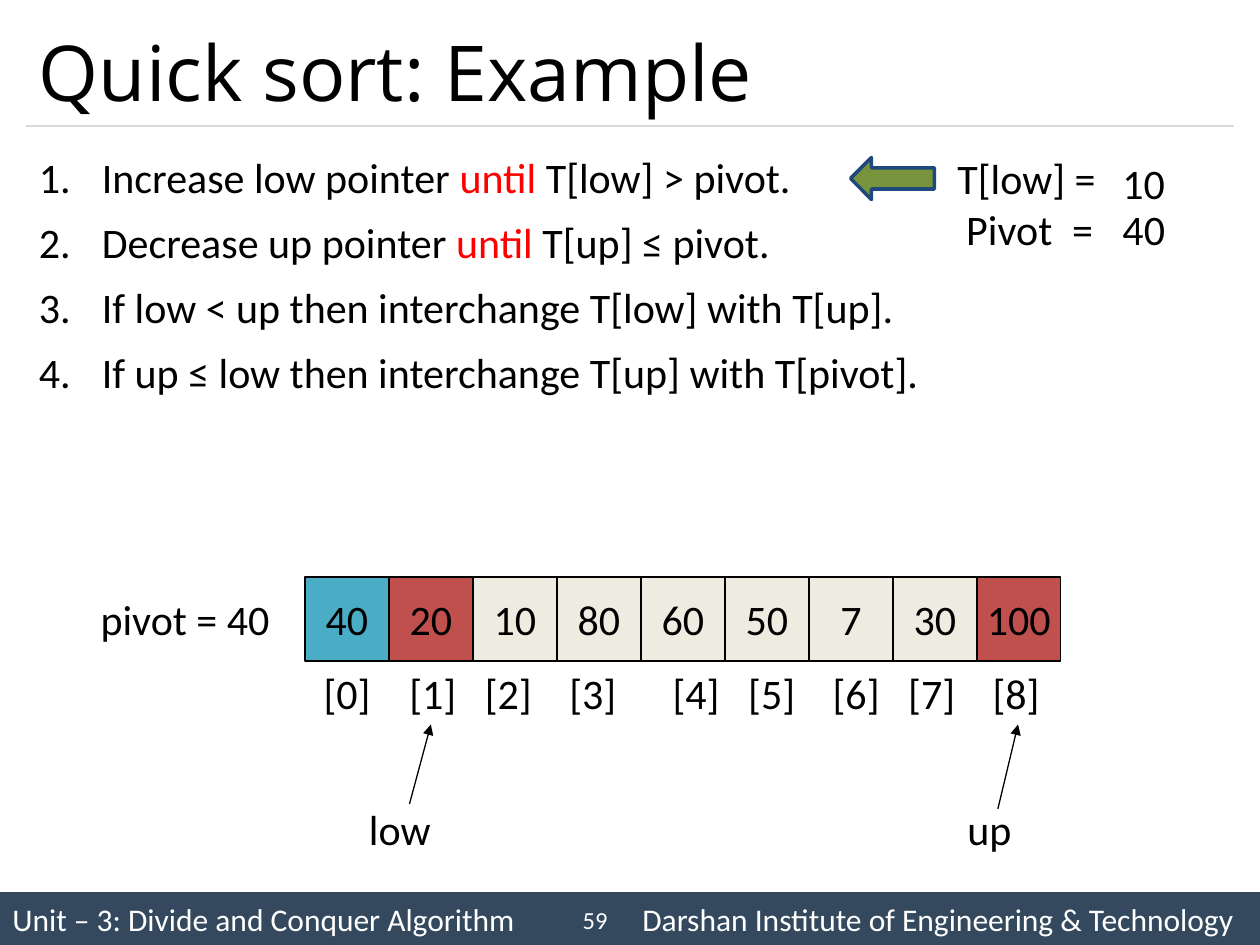
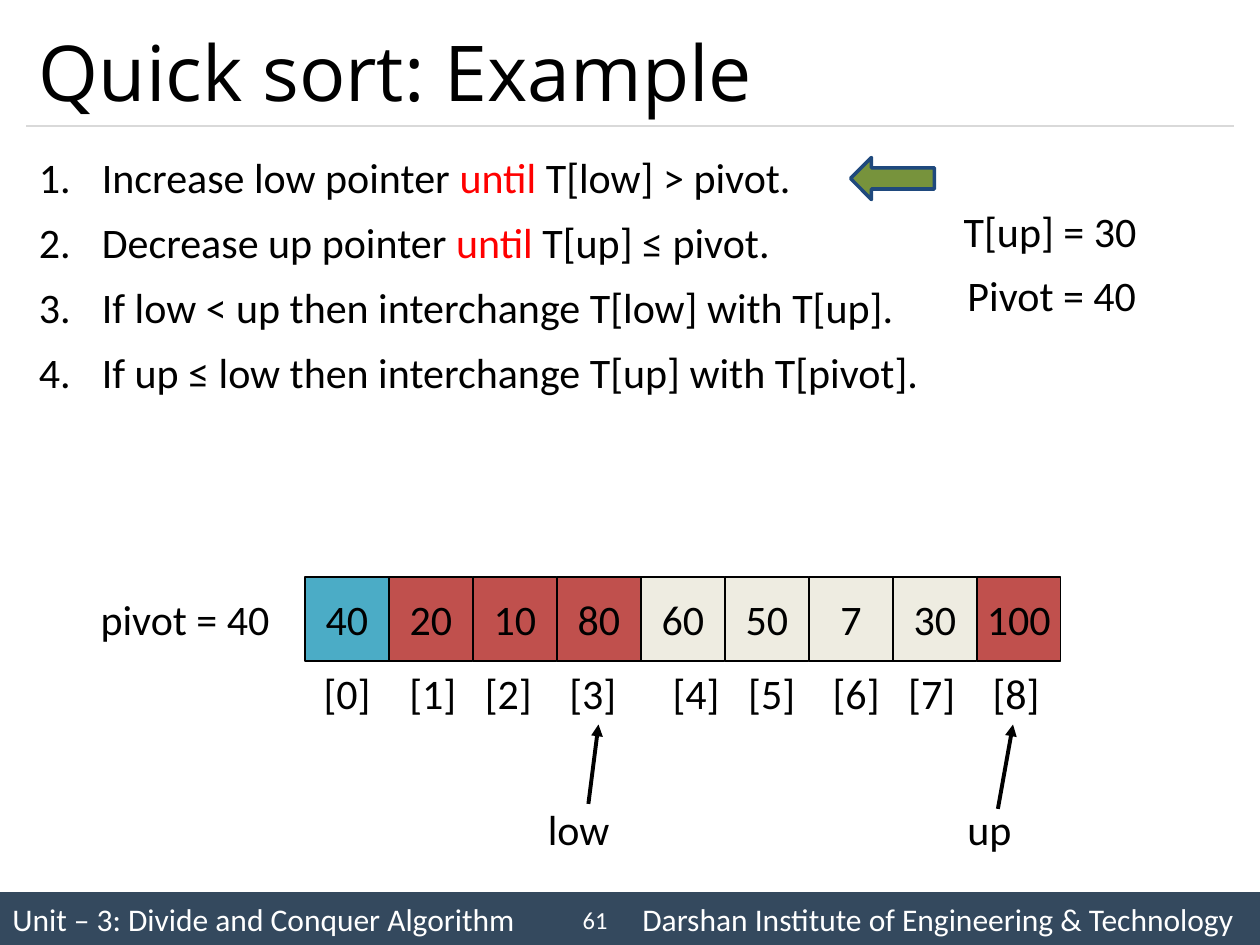
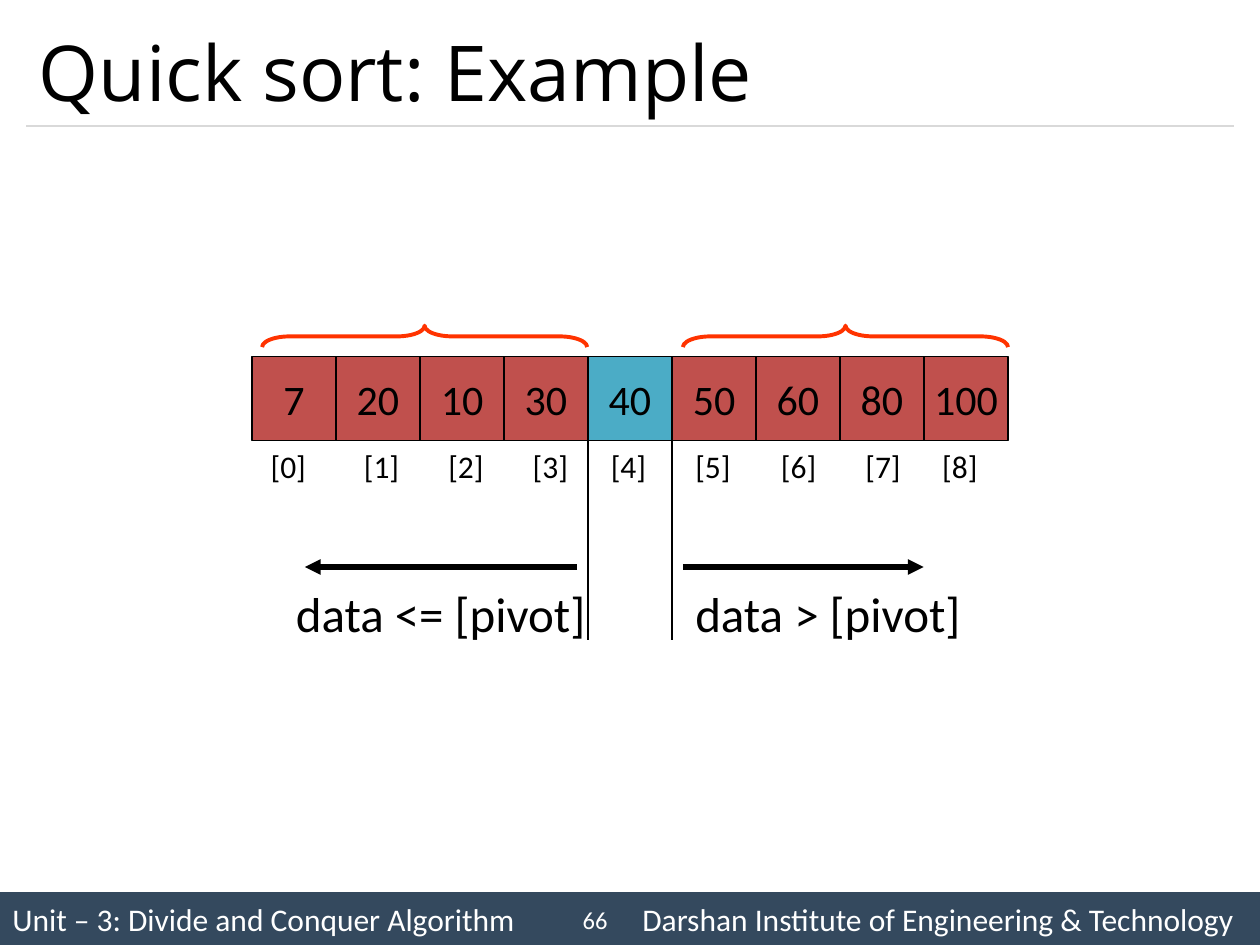
"""Build three quick sort slides: two partition steps and the final split."""
from lxml.etree import SubElement
from pptx import Presentation
from pptx.dml.color import RGBColor
from pptx.enum.shapes import MSO_CONNECTOR, MSO_SHAPE
from pptx.enum.text import MSO_ANCHOR, PP_ALIGN
from pptx.oxml.ns import qn
from pptx.util import Inches, Pt

C = {"black": "000000", "white": "FFFFFF", "band": "34495E", "rule": "D9D9D9",
     "pivot": "4BACC6", "done": "C0504D", "open": "EEECE1", "until": "FF0000",
     "arrow": "77933C", "edge": "1F497D", "brace": "FF3300"}
W, H = 10, 7.5
CELL = 2 / 3
MARGIN = 0.21
INSET = 0.1
BAND_TOP = 7.08

TITLE = "Quick sort: Example"
FOOTER = "Unit – 3: Divide and Conquer Algorithm\tDarshan Institute of Engineering & Technology"
RULES = [
    [("Increase low pointer ", "black"), ("until", "until"), (" T[low] > pivot.", "black")],
    [("Decrease up pointer ", "black"), ("until", "until"), (" T[up] ≤ pivot.", "black")],
    [("If low < up then interchange T[low] with T[up].", "black")],
    [("If up ≤ low then interchange T[up] with T[pivot].", "black")],
]
START = [40, 20, 10, 80, 60, 50, 7, 30, 100]
SORTED = [7, 20, 10, 30, 40, 50, 60, 80, 100]
STEP_INDEX_X = [2.57, 3.25, 3.85, 4.52, 5.34, 5.94, 6.61, 7.21, 7.88]
SPLIT_INDEX_X = [2.15, 2.89, 3.56, 4.23, 4.85, 5.52, 6.2, 6.87, 7.48]
STEPS = [
    {"number": 59, "done": {1, 8}, "weight": 0.75,
     "pointers": [("low", 2.83, (3.25, 6.38), (3.42, 5.75)),
                  ("up", 7.58, (7.92, 6.42), (8.08, 5.75))],
     "checks": [("T[low] =", 7.5, 1.16, ()), ("10", 8.81, 1.2, ()),
                ("Pivot\t=\t40", 7.57, 1.57, (0.84, 1.24))]},
    {"number": 61, "done": {1, 2, 3, 8}, "weight": 2.25,
     "pointers": [("low", 4.25, (4.67, 6.38), (4.75, 5.75)),
                  ("up", 7.58, (7.92, 6.42), (8.04, 5.75))],
     "checks": [("T[up] = 30", 7.55, 1.58, ()), ("Pivot = 40", 7.58, 2.09, ())]},
]
SPLIT = {"number": 66, "left": 2, "top": 2.83, "pivot": 4}
SIDES = [("data <= [pivot]", 2.25, 4.58, 2.42, 2.08),
         ("data > [pivot]", 5.42, 5.42, 7.33, 5.42)]


def rgb(name):
    return RGBColor.from_string(C[name])


def add_tabs(p, stops):
    if stops:
        tabs = SubElement(p._p.get_or_add_pPr(), qn("a:tabLst"))
        for stop in stops:
            SubElement(tabs, qn("a:tab"), pos=str(Inches(stop)), algn="l")


def add_run(p, text, size, color="black", font="Calibri"):
    r = p.add_run()
    r.text = text
    r.font.size, r.font.name = Pt(size), font
    r.font.color.rgb = rgb(color)


def add_text(s, text, x, y, w, h=0.5, size=24, color="black", font="Calibri",
             align=PP_ALIGN.LEFT, anchor=MSO_ANCHOR.TOP, wrap=True, stops=()):
    tf = s.shapes.add_textbox(Inches(x), Inches(y), Inches(w), Inches(h)).text_frame
    tf.word_wrap, tf.vertical_anchor = wrap, anchor
    p = tf.paragraphs[0]
    add_tabs(p, stops)
    p.alignment = align
    add_run(p, text, size, color, font)


def add_shape(s, kind, x, y, w, h, fill=None, line=None, weight=0.75):
    sp = s.shapes.add_shape(kind, Inches(x), Inches(y), Inches(w), Inches(h))
    sp.shadow.inherit = False
    if fill:
        sp.fill.solid()
        sp.fill.fore_color.rgb = rgb(fill)
    else:
        sp.fill.background()
    if line:
        sp.line.color.rgb = rgb(line)
        sp.line.width = Pt(weight)
    else:
        sp.line.fill.background()
    return sp


def add_line(s, start, end, color="black", weight=0.75, arrow=False):
    cx = s.shapes.add_connector(MSO_CONNECTOR.STRAIGHT,
                                *(Inches(v) for v in (*start, *end)))
    cx.line.color.rgb = rgb(color)
    cx.line.width = Pt(weight)
    if arrow:
        SubElement(cx.line._get_or_add_ln(), qn("a:tailEnd"), type="triangle")
    SubElement(cx._element.spPr, qn("a:effectLst"))


def add_base(prs, number):
    s = prs.slides.add_slide(prs.slide_layouts[6])
    band = add_shape(s, MSO_SHAPE.RECTANGLE, 0, BAND_TOP, W, H - BAND_TOP, "band")
    tf = band.text_frame
    tf.vertical_anchor = MSO_ANCHOR.MIDDLE
    p = tf.paragraphs[0]
    add_tabs(p, [5])
    p.alignment = PP_ALIGN.LEFT
    add_run(p, FOOTER, 18, "white")
    add_line(s, (MARGIN, 1), (W - MARGIN, 1), "rule")
    add_text(s, TITLE, MARGIN, 0.12, W - 2 * MARGIN, 0.88, 44, font="Open Sans",
             anchor=MSO_ANCHOR.MIDDLE)
    add_text(s, str(number), 4.42, 7.1, 0.5, 0.4, 14, "white",
             align=PP_ALIGN.RIGHT, anchor=MSO_ANCHOR.MIDDLE)
    return s


def add_rules(s):
    tf = s.shapes.add_textbox(Inches(MARGIN), Inches(1.1), Inches(W - 2 * MARGIN),
                              Inches(5.8)).text_frame
    tf.word_wrap = True
    for i, runs in enumerate(RULES):
        p = tf.add_paragraph() if i else tf.paragraphs[0]
        pPr = p._p.get_or_add_pPr()
        pPr.set("marL", str(Inches(0.5)))
        pPr.set("indent", str(-Inches(0.5)))
        SubElement(pPr, qn("a:buFont"), typeface="+mj-lt")
        SubElement(pPr, qn("a:buAutoNum"), type="arabicPeriod")
        p.alignment = PP_ALIGN.JUSTIFY
        p.line_spacing = 1.14
        p.space_before = Pt(4.3 if i else 0)
        for text, color in runs:
            add_run(p, text, 24, color)


def add_array(s, values, fills, left, top, index_x, index_size):
    for i, (value, fill) in enumerate(zip(values, fills)):
        sp = add_shape(s, MSO_SHAPE.RECTANGLE, left + i * CELL, top, CELL, CELL,
                       fill, "black")
        tf = sp.text_frame
        tf.word_wrap, tf.vertical_anchor = False, MSO_ANCHOR.MIDDLE
        p = tf.paragraphs[0]
        p.alignment = PP_ALIGN.CENTER
        add_run(p, str(value), 24)
    first = index_x[0]
    add_text(s, "\t".join(f"[{i}]" for i in range(len(values))), first - INSET,
             top + CELL, 6, size=index_size, stops=[x - first for x in index_x[1:]])


def add_step(prs, step):
    s = add_base(prs, step["number"])
    add_rules(s)
    fills = ["pivot" if i == 0 else "done" if i in step["done"] else "open"
             for i in range(len(START))]
    add_array(s, START, fills, 2.42, 4.58, STEP_INDEX_X, 24)
    add_text(s, "pivot = 40", 0.7, 4.66, 1.55, wrap=False)
    for name, x, start, end in step["pointers"]:
        add_text(s, name, x, 6.33, 0.83)
        add_line(s, start, end, weight=step["weight"], arrow=True)
    add_shape(s, MSO_SHAPE.LEFT_ARROW, 6.75, 1.25, CELL, CELL / 2, "arrow", "edge", 2)
    for text, x, y, stops in step["checks"]:
        add_text(s, text, x, y, W - x - MARGIN, stops=stops)


def add_split(prs):
    s = add_base(prs, SPLIT["number"])
    left, top, pivot = SPLIT["left"], SPLIT["top"], SPLIT["pivot"]
    fills = ["pivot" if i == pivot else "done" for i in range(len(SORTED))]
    add_array(s, SORTED, fills, left, top, SPLIT_INDEX_X, 18)
    for edge in (pivot, pivot + 1):
        x = left + edge * CELL
        add_line(s, (x, top), (x, 5.08))
    span, depth = 2.58, 0.17
    for text, text_x, start, end, brace_x in SIDES:
        add_line(s, (start, 4.5), (end, 4.5), weight=3, arrow=True)
        add_text(s, text, text_x, 4.58, 2.56, 0.57, 28, wrap=False)
        brace = add_shape(s, MSO_SHAPE.LEFT_BRACE, brace_x + (span - depth) / 2,
                          top - 0.16 - span / 2, depth, span, line="brace", weight=2.25)
        brace.rotation = 90
        brace.adjustments[0] = 1.29


def main():
    prs = Presentation()
    prs.slide_width, prs.slide_height = Inches(W), Inches(H)
    for step in STEPS:
        add_step(prs, step)
    add_split(prs)
    prs.save("out.pptx")


if __name__ == "__main__":
    main()
